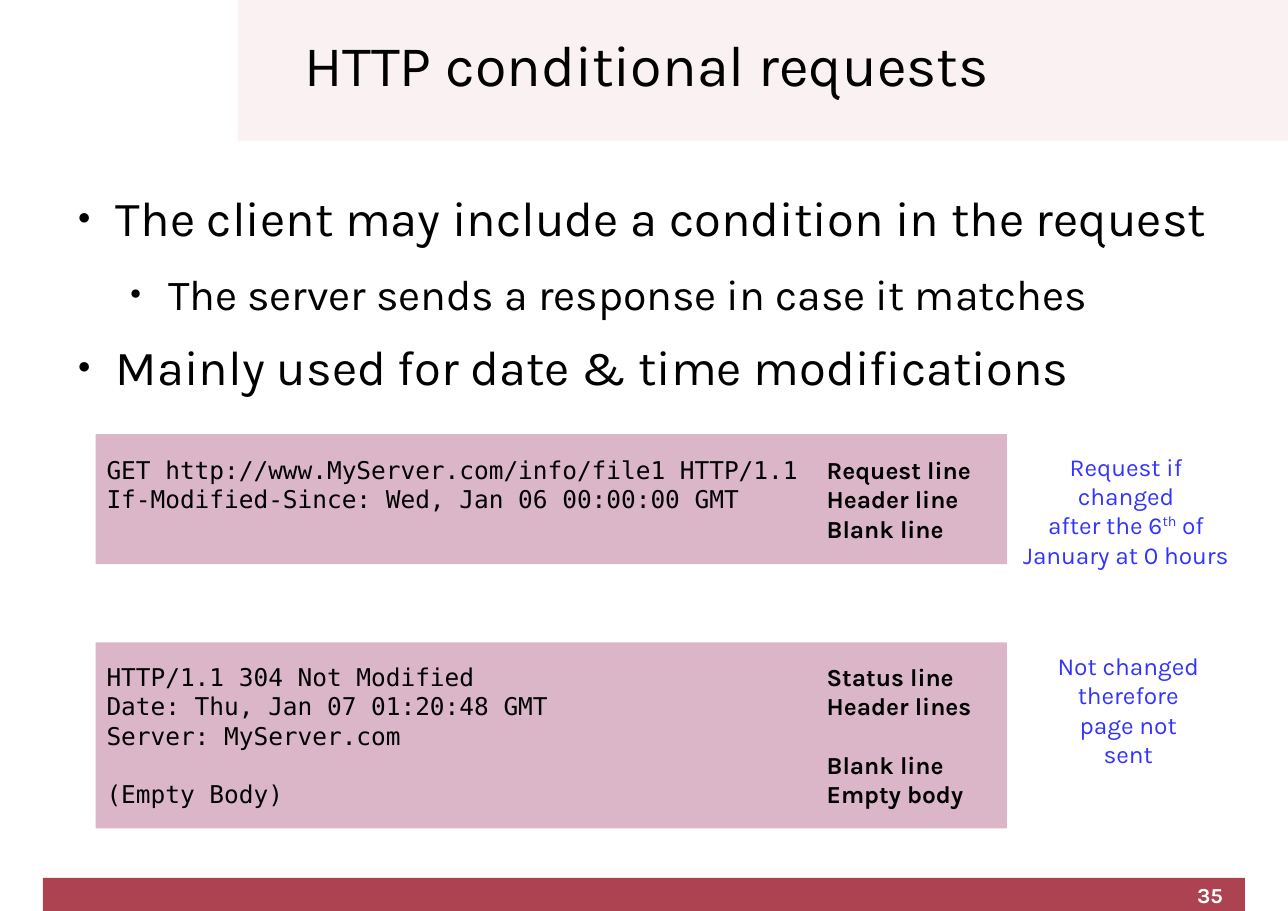
from dataclasses import dataclass
from lxml.etree import SubElement
from pptx import Presentation
from pptx.dml.color import RGBColor
from pptx.enum.shapes import MSO_SHAPE
from pptx.enum.text import MSO_ANCHOR, MSO_AUTO_SIZE, PP_ALIGN
from pptx.oxml.ns import qn
from pptx.util import Pt


@dataclass(frozen=True)
class Theme:
    font: str = "Karla"
    mono: str = "DejaVu Sans Mono"
    black: str = "000000"
    white: str = "FFFFFF"
    pale: str = "F9F1F2"
    red: str = "AD4251"
    pink: str = "DBB6C8"
    blue: str = "3333FF"
    title: float = 37.6
    levels: tuple = (32, 28)
    small: float = 16
    number: float = 14


class Deck:
    def __init__(self, theme, width, height):
        self.t = theme
        self.prs = Presentation()
        self.prs.slide_width, self.prs.slide_height = Pt(width), Pt(height)
        self.s = self.prs.slides.add_slide(self.prs.slide_layouts[1])

    def apply(self, obj, formats):
        for name, value in formats.items():
            setattr(obj, name, value)

    def place(self, sp, box):
        self.apply(sp, dict(zip(("left", "top", "width", "height"), map(Pt, box))))

    def frame(self, sp, anchor=MSO_ANCHOR.TOP, inset=(0, 0)):
        x, y = map(Pt, inset)
        tf = sp.text_frame
        self.apply(tf, {"word_wrap": True, "auto_size": MSO_AUTO_SIZE.NONE,
                        "vertical_anchor": anchor, "margin_left": x, "margin_right": x,
                        "margin_top": y, "margin_bottom": y})
        return tf

    def paragraph(self, tf, first, **formats):
        p = tf.paragraphs[0] if first else tf.add_paragraph()
        self.apply(p, {"alignment": PP_ALIGN.LEFT, "space_before": Pt(0), **formats})
        return p

    def run(self, p, text, size, color, name=None, bold=False):
        r = p.add_run()
        r.text = text
        self.apply(r.font, {"size": Pt(size), "name": name or self.t.font, "bold": bold})
        r.font.color.rgb = RGBColor.from_string(color)
        return r

    def rect(self, box, color):
        sp = self.s.shapes.add_shape(MSO_SHAPE.RECTANGLE, *map(Pt, box))
        sp.shadow.inherit = False
        sp.fill.solid()
        sp.fill.fore_color.rgb = RGBColor.from_string(color)
        sp.line.fill.background()
        return sp

    def band(self, box, color):
        # Bands lie behind the placeholders
        self.s.shapes._spTree.insert(2, self.rect(box, color)._element)

    def title(self, box, text):
        sp = self.s.shapes.title
        self.place(sp, box)
        p = self.paragraph(self.frame(sp, MSO_ANCHOR.MIDDLE), True, line_spacing=0.8)
        self.run(p, text, self.t.title, self.t.black)

    def bullets(self, box, items):
        sp = self.s.placeholders[1]
        self.place(sp, box)
        tf = self.frame(sp)
        for i, (level, text) in enumerate(items):
            p = self.paragraph(tf, i == 0, level=level, space_after=Pt((14.1, 11.3)[level]))
            pPr = p._p.get_or_add_pPr()
            pPr.set("marL", str(Pt(34 * (level + 1))))
            pPr.set("indent", str(Pt(-25)))
            color = SubElement(pPr, qn("a:buClr"))
            SubElement(color, qn("a:srgbClr"), val=self.t.black)
            SubElement(pPr, qn("a:buSzPct"), val="45000")
            SubElement(pPr, qn("a:buChar"), char="●")
            self.run(p, text, self.t.levels[level], self.t.black)

    def message(self, box, lines, label_at=470.6):
        tf = self.frame(self.rect(box, self.t.pink), MSO_ANCHOR.MIDDLE, (7.2, 3.6))
        for i, (code, label) in enumerate(lines):
            p = self.paragraph(tf, i == 0)
            tabs = SubElement(p._p.get_or_add_pPr(), qn("a:tabLst"))
            SubElement(tabs, qn("a:tab"), pos=str(Pt(label_at)), algn="l")
            if code:
                self.run(p, code, self.t.small, self.t.black, self.t.mono)
            if label:
                self.run(p, "\t" + label, self.t.small, self.t.black, bold=True)

    def note(self, box, lines):
        tf = self.frame(self.s.shapes.add_textbox(*map(Pt, box)), inset=(7.2, 3.6))
        for i, parts in enumerate(lines):
            p = self.paragraph(tf, i == 0, alignment=PP_ALIGN.CENTER)
            # Every second part is superscript
            for j, text in enumerate(parts):
                r = self.run(p, text, self.t.small, self.t.blue)
                if j % 2:
                    r.font._element.set("baseline", "33000")

    def number(self, box, text):
        tf = self.frame(self.s.shapes.add_textbox(*map(Pt, box)))
        p = self.paragraph(tf, True, alignment=PP_ALIGN.RIGHT)
        self.run(p, text, self.t.number, self.t.white, bold=True)


def main():
    theme = Theme()
    d = Deck(theme, 841.68, 595.44)

    # Header and footer bands
    d.band((155.5, 0, 686.18, 92), theme.pale)
    d.band((28.1, 573.8, 785.5, 21.6), theme.red)

    # Title and list
    d.title((198.7, -4.3, 601.2, 99.4), "HTTP conditional requests")
    d.bullets((41.8, 122.4, 757.4, 133.2), [
        (0, "The client may include a condition in the request"),
        (1, "The server sends a response in case it matches"),
        (0, "Mainly used for date & time modifications"),
    ])

    # Request and response
    d.message((62.6, 283.7, 595.4, 85), [
        ("GET http://www.MyServer.com/info/file1 HTTP/1.1", "Request line"),
        ("If-Modified-Since: Wed, Jan 06 00:00:00 GMT", "Header line"),
        ("", "Blank line"),
    ])
    d.message((62.6, 419.8, 595.4, 121.7), [
        ("HTTP/1.1 304 Not Modified", "Status line"),
        ("Date: Thu, Jan 07 01:20:48 GMT", "Header lines"),
        ("Server: MyServer.com", ""),
        ("", "Blank line"),
        ("(Empty Body)", "Empty body"),
    ])

    # Side notes
    d.note((659.5, 291.6, 152.6, 82), [
        ("Request if changed",), ("after the 6", "th", " of"), ("January at 0 hours",)])
    d.note((683.3, 421.9, 108, 82), [
        ("Not changed",), ("therefore",), ("page not sent",)])

    # Page number
    d.number((603.4, 576.7, 195.8, 16.6), "35")

    d.prs.save("out.pptx")


if __name__ == "__main__":
    main()
